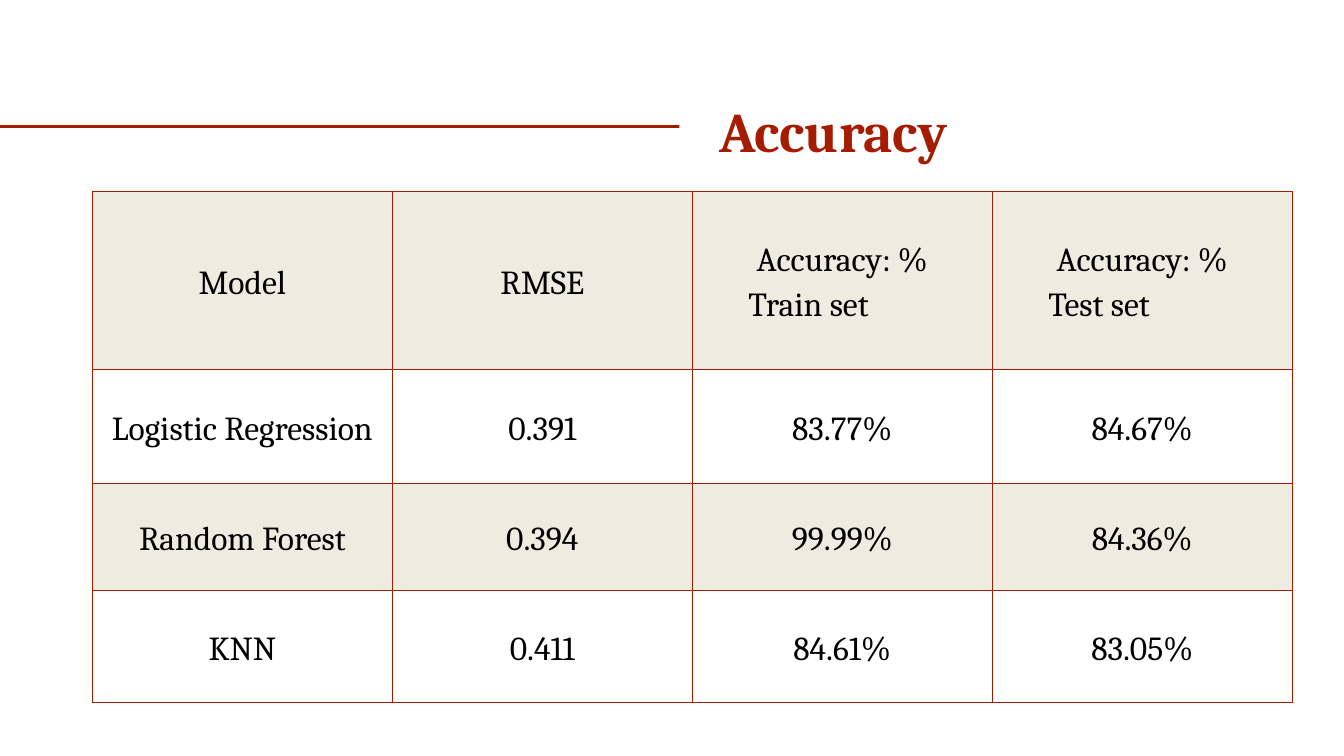
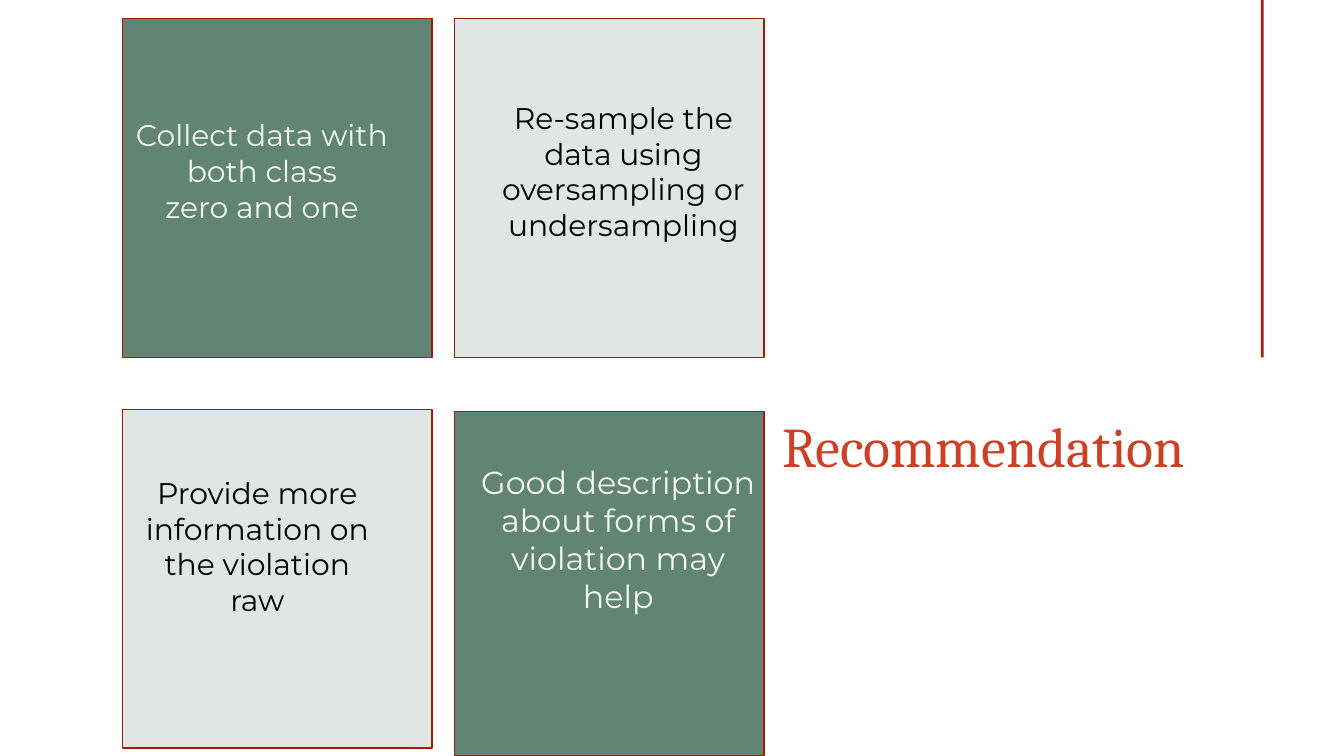
from lxml import etree
from pptx import Presentation
from pptx.dml.color import RGBColor
from pptx.enum.shapes import MSO_SHAPE
from pptx.enum.text import MSO_ANCHOR, PP_ALIGN
from pptx.oxml.ns import qn
from pptx.util import Pt

RECT = MSO_SHAPE.RECTANGLE
CENTER, LEFT = PP_ALIGN.CENTER, PP_ALIGN.LEFT
MIDDLE = MSO_ANCHOR.MIDDLE

RED = RGBColor(0xA6, 0x1C, 0x00)
ORANGE = RGBColor(0xCC, 0x41, 0x25)
CREAM = RGBColor(0xEE, 0xEC, 0xE1)
GREEN = RGBColor(0x62, 0x84, 0x74)
PALE = RGBColor(0xF4, 0xF8, 0xF3)
BLACK = RGBColor(0, 0, 0)
SERIF, SANS = "Cambria", "Montserrat"
BORDER = 0.75
RULE = 1.5

ROWS = [
    ["Model", "RMSE", "Accuracy: %\nTrain set", "Accuracy: %\nTest set"],
    ["Logistic Regression", "0.391", "83.77%", "84.67%"],
    ["Random Forest", "0.394", "99.99%", "84.36%"],
    ["KNN", "0.411", "84.61%", "83.05%"],
]
ROW_HEIGHTS = [95.5, 61.2, 57.4, 60]
COL_WIDTH = 160.7

CARDS = [
    ((65.5, 10, 181.5), False,
     (70.5, 62.6, 139.7, 78), "Collect data with both class\nzero and one", 16),
    ((243.4, 10, 181.5), True,
     (264.2, 53.3, 139.7, 78), "Re-sample the data using oversampling or undersampling", 16),
    ((65.5, 219.3, 181.5), True,
     (74.2, 254.2, 127.4, 78), "Provide more information on the violation raw", 16),
    ((243.4, 220.5, 184.3), False,
     (257.8, 247.7, 146.9, 82), "Good description about forms of violation may help", 17),
]
CARD_WIDTH = 165.9


def style(p, font, size, color, align=LEFT, spacing=1.0, bold=False):
    """Set the font and layout of a paragraph."""
    p.alignment, p.line_spacing = align, spacing
    p.font.name, p.font.size, p.font.bold = font, Pt(size), bold
    p.font.color.rgb = color


def set_margins(obj, x, y):
    """Set the margins of a text frame or cell."""
    obj.margin_left = obj.margin_right = Pt(x)
    obj.margin_top = obj.margin_bottom = Pt(y)


def add_text(s, box, text, *args, **kwargs):
    """Add a wrapping text box with one style."""
    tf = s.shapes.add_textbox(*map(Pt, box)).text_frame
    tf.word_wrap = True
    set_margins(tf, 0, 0)
    tf.text = text
    for p in tf.paragraphs:
        style(p, *args, **kwargs)


def add_rect(s, box, color, line=None):
    """Add a flat rectangle, outlined if a line colour is given."""
    sp = s.shapes.add_shape(RECT, *map(Pt, box))
    sp.shadow.inherit = False
    sp.fill.solid()
    sp.fill.fore_color.rgb = color
    if line is None:
        sp.line.fill.background()
    else:
        sp.line.color.rgb = line
        sp.line.width = Pt(BORDER)
    return sp


def add_title(s, left, top, text, color, spacing, bold=False):
    """Add a slide title."""
    add_text(s, (left, top, 720 - left, 36), text, SERIF, 30, color,
             spacing=spacing, bold=bold)


def add_card(s, place, light, text_box, text, size):
    """Add a green or translucent card with its text."""
    left, top, height = place
    sp = add_rect(s, (left, top, CARD_WIDTH, height), GREEN, RED)
    if light:
        clr = sp.fill._xPr.find(qn("a:solidFill"))[0]
        etree.SubElement(clr, qn("a:alpha"), val="20000")
    add_text(s, text_box, text, SANS, size, BLACK if light else PALE, CENTER)


def set_borders(cell):
    """Draw red borders on all sides of a cell."""
    tc_pr = cell._tc.get_or_add_tcPr()
    for side in "LRTB":
        ln = etree.SubElement(tc_pr, qn(f"a:ln{side}"), w=str(Pt(BORDER)))
        fill = etree.SubElement(ln, qn("a:solidFill"))
        etree.SubElement(fill, qn("a:srgbClr"), val=str(RED))


def fill_cell(cell, text, shaded, first):
    """Write and format one table cell."""
    set_borders(cell)
    if shaded:
        cell.fill.solid()
        cell.fill.fore_color.rgb = CREAM
    else:
        cell.fill.background()
    set_margins(cell, *((7.2, 7.2) if first else (2, 1.5)))
    cell.vertical_anchor = MIDDLE
    cell.text = text
    for i, p in enumerate(cell.text_frame.paragraphs):
        style(p, SERIF, 18, BLACK, LEFT if i else CENTER, 1.15)
        if i:
            p._p.get_or_add_pPr().set("marL", str(Pt(28)))


def add_accuracy_table(s, left, top):
    """Add the table of model scores."""
    cols = len(ROWS[0])
    table = s.shapes.add_table(len(ROWS), cols, Pt(left), Pt(top),
                               Pt(COL_WIDTH * cols), Pt(sum(ROW_HEIGHTS))).table
    table.first_row = table.horz_banding = False
    for col in table.columns:
        col.width = Pt(COL_WIDTH)
    for r, (values, height) in enumerate(zip(ROWS, ROW_HEIGHTS)):
        table.rows[r].height = Pt(height)
        for c, text in enumerate(values):
            fill_cell(table.cell(r, c), text, r % 2 == 0, c == 0)


def add_accuracy_slide(prs):
    """Build the accuracy slide."""
    s = prs.slides.add_slide(prs.slide_layouts[6])
    add_title(s, 385.2, 44.6, "Accuracy", RED, 1.2, True)
    add_rect(s, (0, 67, 364, RULE), RED)
    add_accuracy_table(s, 49.5, 102.4)


def add_recommendation_slide(prs):
    """Build the recommendation slide."""
    s = prs.slides.add_slide(prs.slide_layouts[6])
    for card in CARDS:
        add_card(s, *card)
    add_title(s, 419, 211.7, "Recommendation", ORANGE, 1.24)
    add_rect(s, (675.5, 0, RULE, 191.5), RED)


def main():
    """Build and save the deck."""
    prs = Presentation()
    prs.slide_width, prs.slide_height = Pt(720), Pt(405)
    add_accuracy_slide(prs)
    add_recommendation_slide(prs)
    prs.save("out.pptx")


if __name__ == "__main__":
    main()
